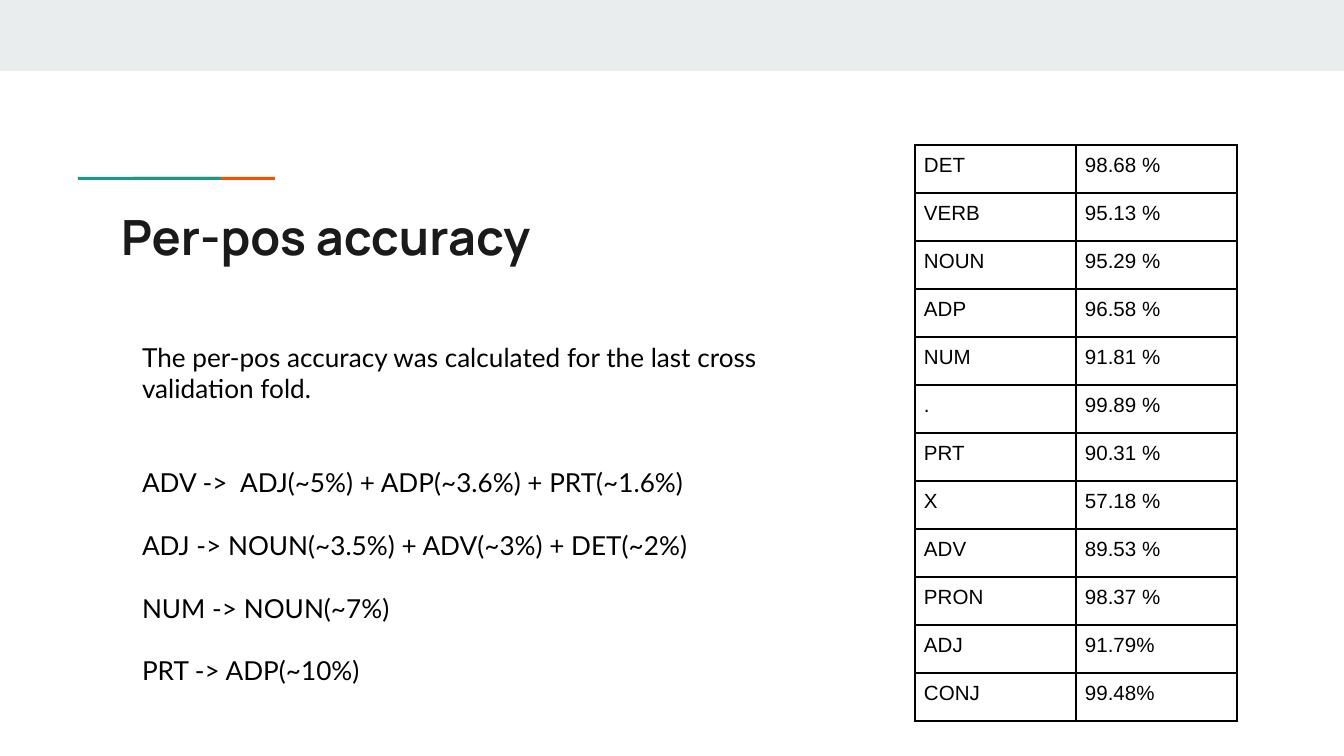
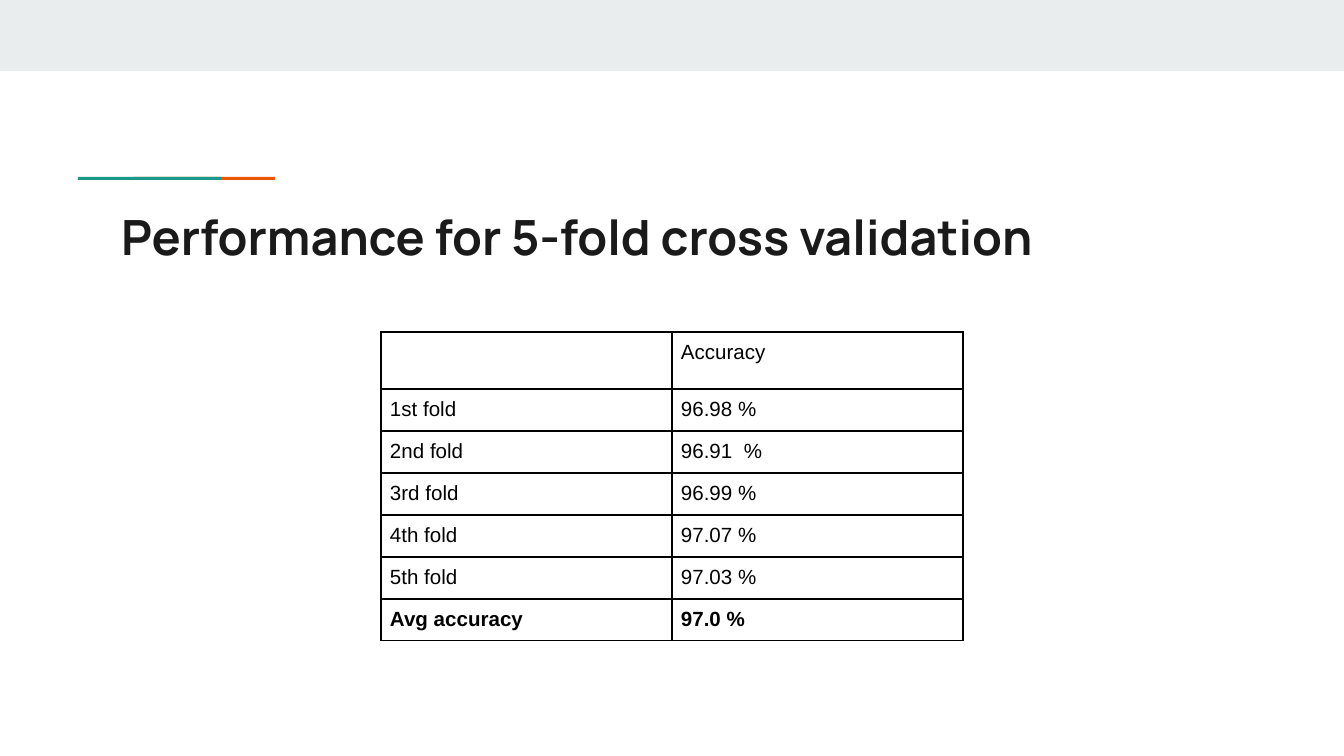
from lxml import etree
from pptx import Presentation
from pptx.dml.color import RGBColor
from pptx.enum.shapes import MSO_SHAPE
from pptx.enum.text import MSO_ANCHOR, MSO_AUTO_SIZE, PP_ALIGN
from pptx.oxml.ns import qn
from pptx.util import Emu, Pt

RECTANGLE = MSO_SHAPE.RECTANGLE
LEFT, TOP = PP_ALIGN.LEFT, MSO_ANCHOR.TOP
NO_AUTOFIT = MSO_AUTO_SIZE.NONE

# Content
ACCURACY_TITLE = "Per-pos accuracy"
# Each line with the space before it in points
ACCURACY_NOTES = [
    ("The per-pos accuracy was calculated for the last cross validation fold.", 0),
    ("ADV ->  ADJ(~5%) + ADP(~3.6%) + PRT(~1.6%)", 33.6),
    ("ADJ -> NOUN(~3.5%) + ADV(~3%) + DET(~2%)", 16.8),
    ("NUM -> NOUN(~7%)", 16.8),
    ("PRT -> ADP(~10%)", 16.8),
]
TAG_ACCURACY = [
    ("DET", "98.68 %"),
    ("VERB", "95.13 %"),
    ("NOUN", "95.29 %"),
    ("ADP", "96.58 %"),
    ("NUM", "91.81 %"),
    (".", "99.89 %"),
    ("PRT", "90.31 %"),
    ("X", "57.18 %"),
    ("ADV", "89.53 %"),
    ("PRON", "98.37 %"),
    ("ADJ", "91.79%"),
    ("CONJ", "99.48%"),
]
FOLDS_TITLE = "Performance for 5-fold cross validation"
FOLD_ACCURACY = [
    ("", "Accuracy"),
    ("1st fold", "96.98 %"),
    ("2nd fold", "96.91  %"),
    ("3rd fold", "96.99 %"),
    ("4th fold", "97.07 %"),
    ("5th fold", "97.03 %"),
    ("Avg accuracy", "97.0 %"),
]

# Shared look
BLACK = RGBColor(0x00, 0x00, 0x00)
INK = RGBColor(0x1A, 0x1A, 0x1A)
BAND = RGBColor(0xE9, 0xED, 0xEE)
ORANGE = RGBColor(0xEB, 0x56, 0x00)
TEAL = RGBColor(0x1A, 0x99, 0x88)
TITLE_FONT, BODY_FONT, TABLE_FONT = "Manrope", "Lato", "Arial"

# Left, top, width, height in px; teal overlaps orange
DECORATION = [
    ((0, 0, 1344, 71), BAND),
    ((133, 177, 142, 3), ORANGE),
    ((78, 177, 143, 3), TEAL),
]
TITLE_BOX = (108, 194, 1130, 79)
NOTES_BOX = (129, 328, 667, 392)
TEXT_INSET, CELL_INSET = 13, 9
TITLE_ONLY, TITLE_AND_BODY = 5, 1


def px(length):
    return Emu(round(length * 914400 / 134.4))


def set_font(paragraph, name, size, color, bold=False):
    font = paragraph.font
    font.name, font.size, font.bold = name, Pt(size), bold
    font.color.rgb = color


def set_insets(target, inset):
    target.margin_left = target.margin_right = px(inset)
    target.margin_top = target.margin_bottom = px(inset)


def place(placeholder, box):
    """Move a placeholder and return its text frame, set to wrap from the top."""
    placeholder.left, placeholder.top, placeholder.width, placeholder.height = map(px, box)
    frame = placeholder.text_frame
    frame.word_wrap = True
    frame.auto_size = NO_AUTOFIT
    frame.vertical_anchor = TOP
    set_insets(frame, TEXT_INSET)
    return frame


def add_titled_slide(prs, layout, title):
    slide = prs.slides.add_slide(prs.slide_layouts[layout])
    for box, color in DECORATION:
        bar = slide.shapes.add_shape(RECTANGLE, *map(px, box))
        bar.shadow.inherit = False
        bar.fill.solid()
        bar.fill.fore_color.rgb = color
        bar.line.fill.background()
    heading = place(slide.shapes.title, TITLE_BOX).paragraphs[0]
    heading.text = title
    heading.alignment = LEFT
    set_font(heading, TITLE_FONT, 26, INK, bold=True)
    return slide


def add_notes(slide, notes):
    frame = place(slide.placeholders[1], NOTES_BOX)
    for index, (text, gap) in enumerate(notes):
        line = frame.add_paragraph() if index else frame.paragraphs[0]
        line.text = text
        properties = line._p.get_or_add_pPr()
        properties.set("marL", "0")
        properties.set("indent", "0")
        etree.SubElement(properties, qn("a:buNone"))
        line.space_before = Pt(gap)
        set_font(line, BODY_FONT, 14, BLACK)


def add_borders(cell):
    properties = cell._tc.get_or_add_tcPr()
    for index, side in enumerate(("lnL", "lnR", "lnT", "lnB")):
        border = etree.Element(qn(f"a:{side}"), w=str(Pt(1)))
        fill = etree.SubElement(border, qn("a:solidFill"))
        etree.SubElement(fill, qn("a:srgbClr"), val=str(BLACK))
        properties.insert(index, border)


def add_grid(slide, rows, left, top, column_width, row_heights, bold_last=False):
    columns = len(rows[0])
    table = slide.shapes.add_table(
        len(rows), columns, px(left), px(top),
        px(column_width * columns), px(sum(row_heights))).table
    table.first_row = table.horz_banding = False
    for column in table.columns:
        column.width = px(column_width)
    for r, values in enumerate(rows):
        table.rows[r].height = px(row_heights[r])
        for c, value in enumerate(values):
            cell = table.cell(r, c)
            set_insets(cell, CELL_INSET)
            cell.fill.background()
            add_borders(cell)
            entry = cell.text_frame.paragraphs[0]
            entry.text = value
            set_font(entry, TABLE_FONT, 11, BLACK, bold_last and r == len(rows) - 1)


def main():
    prs = Presentation()
    prs.slide_width, prs.slide_height = px(1344), px(756)

    # Accuracy by part of speech
    tags = add_titled_slide(prs, TITLE_AND_BODY, ACCURACY_TITLE)
    add_grid(tags, TAG_ACCURACY, 915, 145, 161, [48] * len(TAG_ACCURACY))
    add_notes(tags, ACCURACY_NOTES)

    # Accuracy by fold, with a taller header row
    folds = add_titled_slide(prs, TITLE_ONLY, FOLDS_TITLE)
    fold_heights = [57] + [42] * (len(FOLD_ACCURACY) - 1)
    add_grid(folds, FOLD_ACCURACY, 381, 332, 291, fold_heights, bold_last=True)

    prs.save("out.pptx")


if __name__ == "__main__":
    main()
